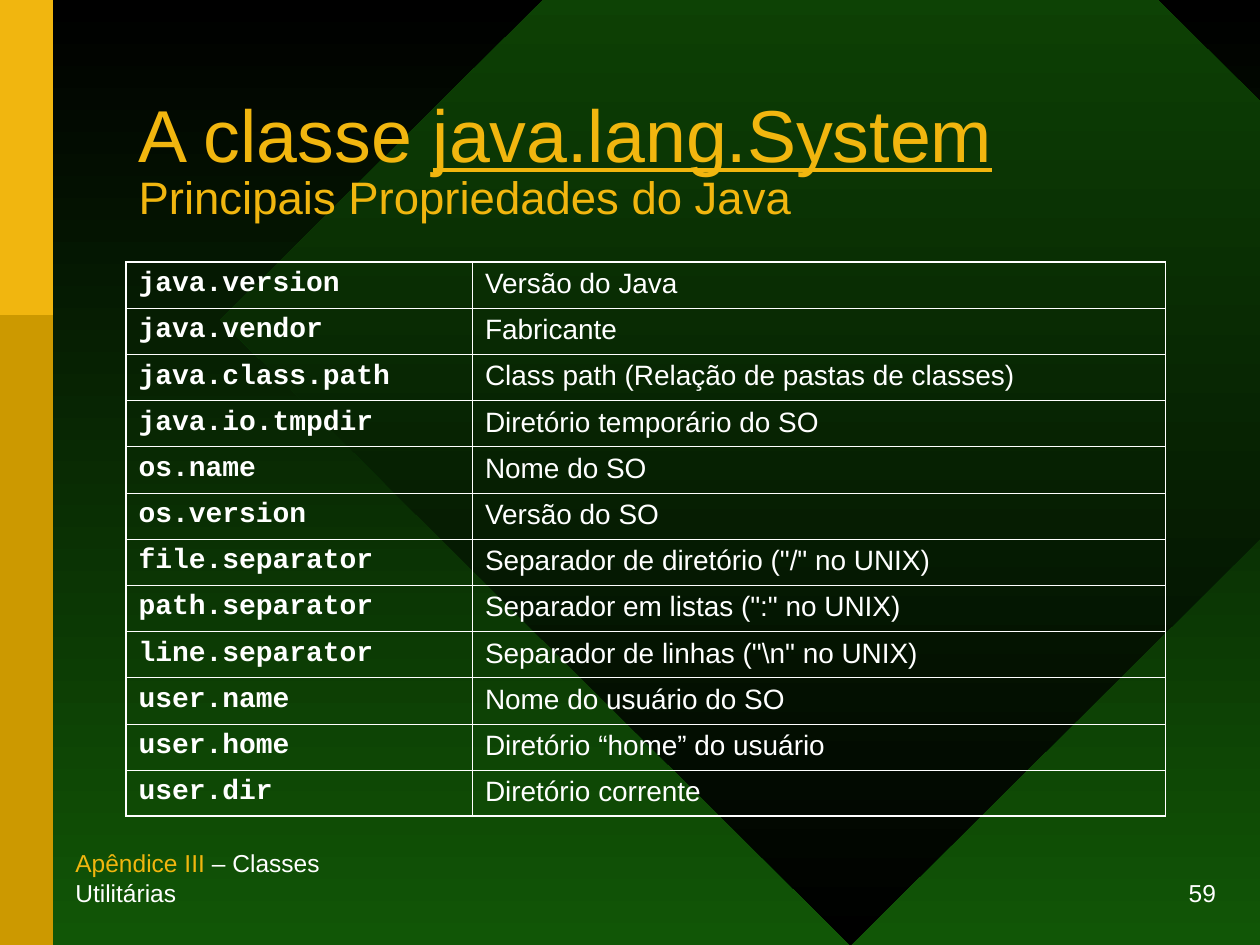
from lxml.etree import SubElement
from pptx import Presentation
from pptx.dml.color import RGBColor
from pptx.enum.shapes import MSO_SHAPE
from pptx.enum.text import MSO_ANCHOR, MSO_AUTO_SIZE, PP_ALIGN
from pptx.oxml.ns import qn
from pptx.util import Inches, Pt

COLORS = {"black": "000000", "green": "115606", "gold": "F1B60F",
          "dark_gold": "CC9900", "white": "FFFFFF"}
PROPERTIES = [
    ("java.version", "Versão do Java"),
    ("java.vendor", "Fabricante"),
    ("java.class.path", "Class path (Relação de pastas de classes)"),
    ("java.io.tmpdir", "Diretório temporário do SO"),
    ("os.name", "Nome do SO"),
    ("os.version", "Versão do SO"),
    ("file.separator", 'Separador de diretório ("/" no UNIX)'),
    ("path.separator", 'Separador em listas (":" no UNIX)'),
    ("line.separator", 'Separador de linhas ("\\n" no UNIX)'),
    ("user.name", "Nome do usuário do SO"),
    ("user.home", "Diretório “home” do usuário"),
    ("user.dir", "Diretório corrente"),
]


def apply_gradient(fill, names):
    fill.gradient()
    fill.gradient_angle = 270
    for stop, name in zip(fill.gradient_stops, names):
        stop.color.rgb = RGBColor.from_string(COLORS[name])


def format_run(run, size, color, font="Arial", bold=False):
    run.font.size = Pt(size)
    run.font.name = font
    run.font.bold = bold
    run.font.color.rgb = RGBColor.from_string(COLORS[color])


presentation = Presentation()
presentation.slide_width = Inches(10)
presentation.slide_height = Inches(7.5)
slide = presentation.slides.add_slide(presentation.slide_layouts[5])
apply_gradient(slide.background.fill, ("black", "green"))

diamond = slide.shapes.add_shape(
    MSO_SHAPE.DIAMOND, Inches(1.75), Inches(-2.42), Inches(10), Inches(9.92))
apply_gradient(diamond.fill, ("green", "black"))
diamond.line.fill.background()
diamond.shadow.inherit = False

for height, color in ((7.5, "dark_gold"), (2.5, "gold")):
    band = slide.shapes.add_shape(MSO_SHAPE.RECTANGLE, 0, 0, Inches(0.42), Inches(height))
    band.fill.solid()
    band.fill.fore_color.rgb = RGBColor.from_string(COLORS[color])
    band.line.fill.background()
    band.shadow.inherit = False

footers = [
    (7.25, PP_ALIGN.RIGHT, [("59", "white")]),
    (0.5, PP_ALIGN.LEFT, [("Apêndice III", "gold"), (" – Classes Utilitárias", "white")]),
]
for left, alignment, parts in footers:
    footer = slide.shapes.add_textbox(Inches(left), Inches(7), Inches(2.5), Inches(0.25))
    footer.text_frame.word_wrap = False
    footer.text_frame.vertical_anchor = MSO_ANCHOR.BOTTOM
    paragraph = footer.text_frame.paragraphs[0]
    paragraph.alignment = alignment
    paragraph.space_before = Pt(3.5)
    for text, color in parts:
        run = paragraph.add_run()
        run.text = text
        format_run(run, 14, color)

title = slide.shapes.title
slide.shapes._spTree.append(title._element)
title.left, title.top = Inches(1), Inches(0.67)
title.width, title.height = Inches(8.25), Inches(1.25)
title.text_frame.auto_size = MSO_AUTO_SIZE.NONE
title.text_frame.word_wrap = True
title.text_frame.vertical_anchor = MSO_ANCHOR.MIDDLE
paragraph = title.text_frame.paragraphs[0]
paragraph.alignment = PP_ALIGN.LEFT
paragraph.line_spacing = 0.85
for text, size, underline in (("A classe ", 42, False), ("java.lang.System", 42, True),
                              ("Principais Propriedades do Java", 26, False)):
    if size == 26:
        paragraph.add_line_break()
    run = paragraph.add_run()
    run.text = text
    format_run(run, size, "gold")
    run.font.underline = underline

last_row = len(PROPERTIES) - 1
table = slide.shapes.add_table(
    len(PROPERTIES), 2, Inches(1), Inches(2.08), Inches(8.25), Inches(4.4)).table
table.first_row = False
table.horz_banding = False
table.columns[0].width = Inches(2.75)
table.columns[1].width = Inches(5.5)
for row_index, row_texts in enumerate(PROPERTIES):
    for column_index, text in enumerate(row_texts):
        cell = table.cell(row_index, column_index)
        cell.text_frame.text = text
        paragraph = cell.text_frame.paragraphs[0]
        paragraph.space_before = Pt(12)
        is_name = column_index == 0
        format_run(paragraph.runs[0], 16, "white",
                   "Courier New" if is_name else "Arial", is_name)
        outer_edges = {"lnL": is_name, "lnR": not is_name,
                       "lnT": row_index == 0, "lnB": row_index == last_row}
        cell_properties = cell._tc.get_or_add_tcPr()
        for edge, is_outer in outer_edges.items():
            border = SubElement(cell_properties, qn("a:" + edge),
                                w=str(Pt(1.08 if is_outer else 0.45)))
            border_fill = SubElement(border, qn("a:solidFill"))
            SubElement(border_fill, qn("a:srgbClr"), val=COLORS["white"])
        cell.fill.background()

presentation.save("out.pptx")
